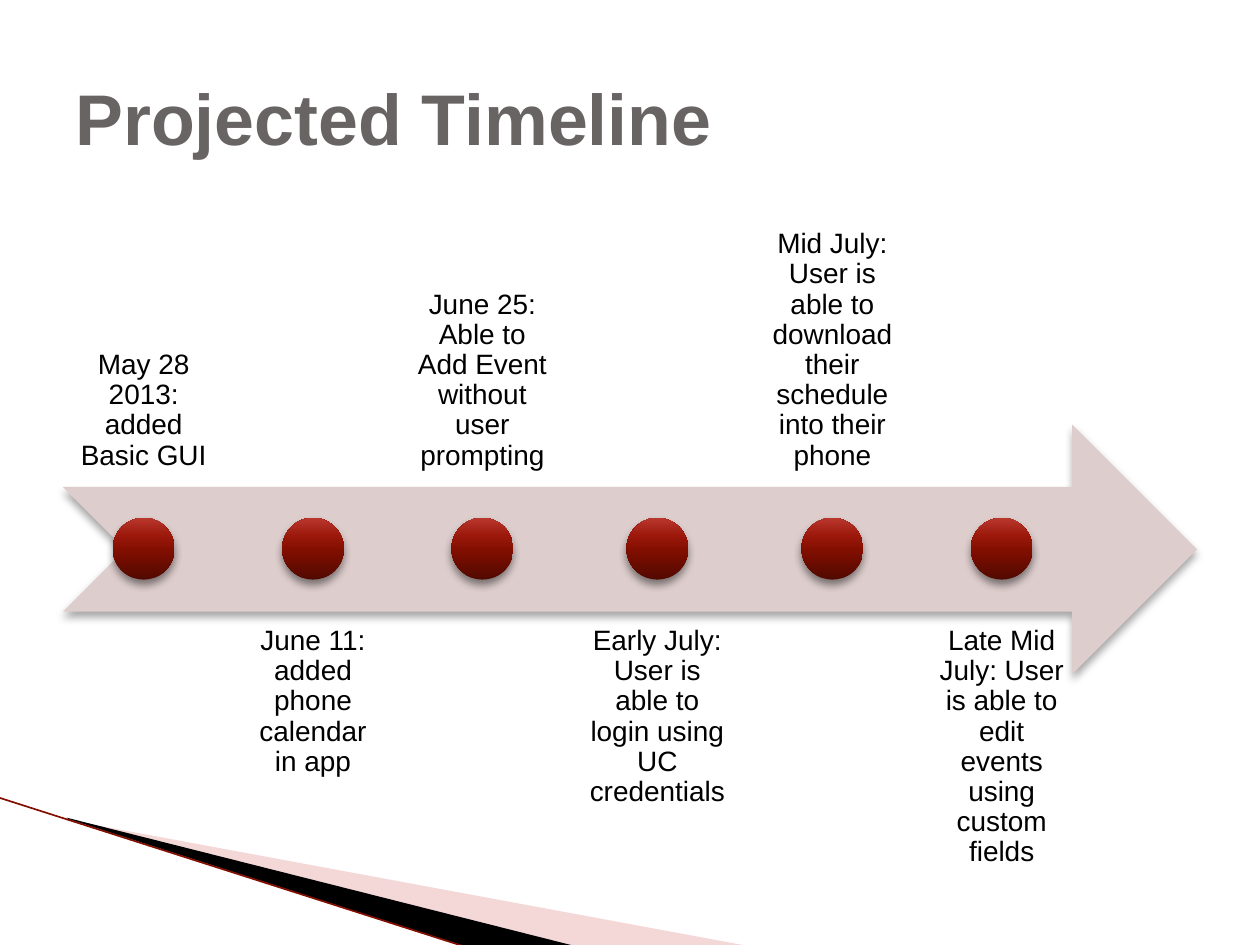
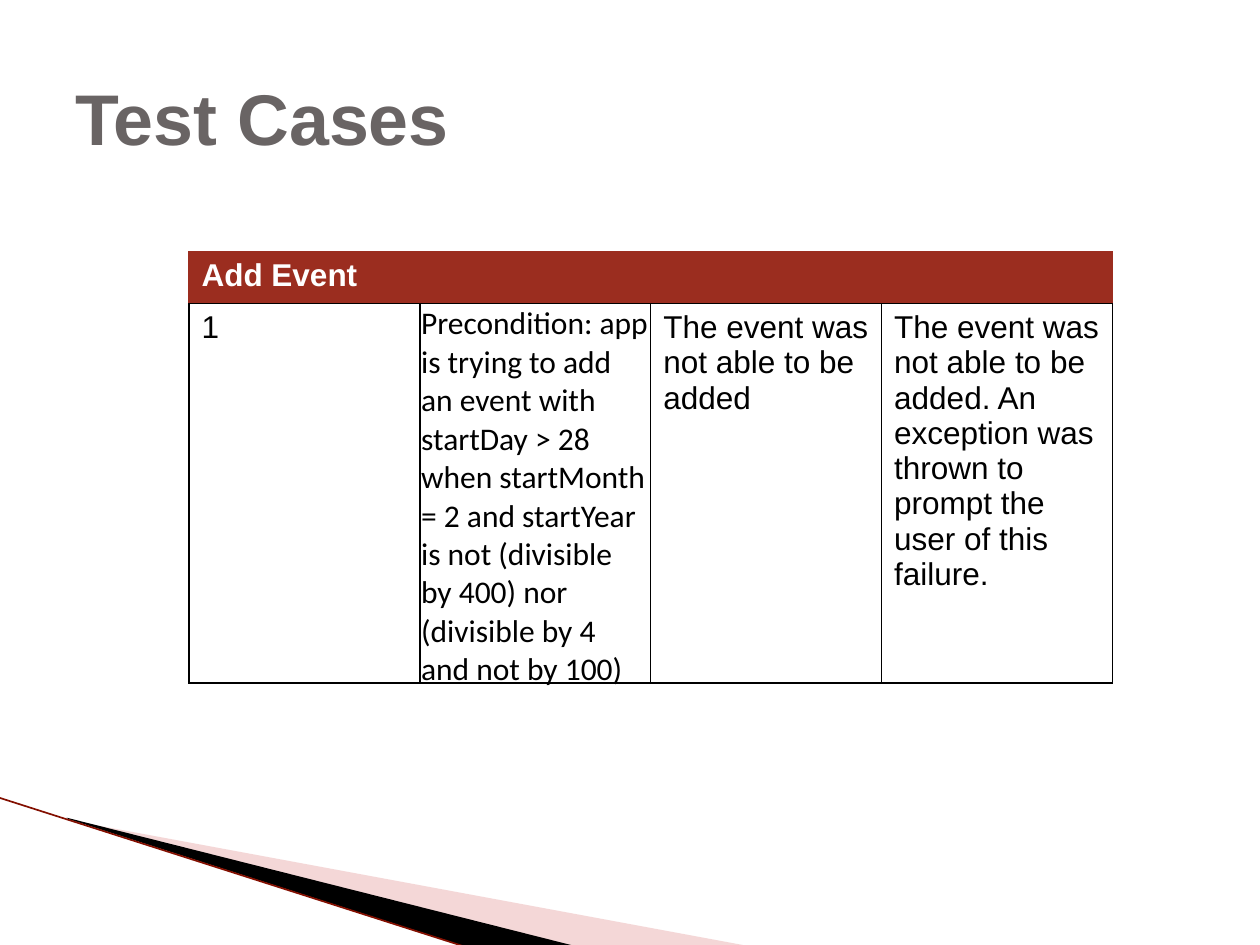
from dataclasses import dataclass

from lxml.etree import SubElement
from pptx import Presentation
from pptx.dml.color import RGBColor
from pptx.enum.shapes import MSO_CONNECTOR, MSO_SHAPE
from pptx.enum.text import MSO_ANCHOR, PP_ALIGN
from pptx.oxml.ns import qn
from pptx.util import Inches, Pt


@dataclass(frozen=True)
class Theme:
    font: str = "Arial"
    alt_font: str = "Calibri"
    title: str = "696464"
    text: str = "000000"
    white: str = "FFFFFF"
    header: str = "9B2D1F"
    arrow: str = "DECDCD"
    wedge: str = "E49D9D"
    edge: str = "830F00"
    title_size: int = 41
    table_size: int = 18
    label_size: int = 16
    dot_stops: tuple = ((0, "520900"), (50, "830F00"), (70, "9B180B"), (100, "BA372E"))


THEME = Theme()

MILESTONES = [
    "May 28 2013: added Basic GUI",
    "June 11: added phone calendar in app",
    "June 25: Able to Add Event without user prompting",
    "Early July: User is able to login using UC credentials",
    "Mid July: User is able to download their schedule into their phone",
    "Late Mid July: User is able to edit events using custom fields",
]
LABEL_WIDTHS = [1.28, 1.28, 1.28, 1.37, 1.28, 1.28]

TEST_CASE = [
    "1",
    "Precondition: app is trying to add an event with startDay > 28 when startMonth = 2 "
    "and startYear is not (divisible by 400) nor (divisible by 4 and not by 100)",
    "The event was not able to be added",
    "The event was not able to be added. An exception was thrown to prompt the user "
    "of this failure.",
]


def rgb(color):
    return RGBColor.from_string(color)


def set_font(p, size, color, bold=False, name=THEME.font):
    p.font.name, p.font.size, p.font.bold = name, Pt(size), bold
    p.font.color.rgb = rgb(color)


def set_margins(frame, left, top, right, bottom):
    frame.margin_left, frame.margin_top = Inches(left), Inches(top)
    frame.margin_right, frame.margin_bottom = Inches(right), Inches(bottom)


def add_color(parent, color, alpha=100):
    clr = SubElement(parent, qn("a:srgbClr"), val=color)
    if alpha < 100:
        SubElement(clr, qn("a:alpha"), val=str(alpha * 1000))


def add_shadow(sp, alpha, blur, distance=3):
    effects = sp._element.spPr.find(qn("a:effectLst"))
    shadow = SubElement(effects, qn("a:outerShdw"), blurRad=str(Pt(blur)),
                        dist=str(Pt(distance)), dir="5400000", rotWithShape="0")
    add_color(shadow, "000000", alpha)


def add_text(s, x, y, w, h, text, anchor):
    tf = s.shapes.add_textbox(Inches(x), Inches(y), Inches(w), Inches(h)).text_frame
    tf.word_wrap = True
    tf.vertical_anchor = anchor
    p = tf.paragraphs[0]
    p.text = text
    return tf, p


def add_preset(s, kind, x, y, w, h):
    sp = s.shapes.add_shape(kind, Inches(x), Inches(y), Inches(w), Inches(h))
    sp.shadow.inherit = False
    sp.line.fill.background()
    return sp


def add_wedge(s, points, color, alpha=100):
    start, *rest = [(Inches(x), Inches(y)) for x, y in points]
    builder = s.shapes.build_freeform(*start)
    builder.add_line_segments(rest)
    sp = builder.convert_to_shape()
    sp.shadow.inherit = False
    sp.line.fill.background()
    sp.fill.solid()
    sp.fill.fore_color.rgb = rgb(color)
    if alpha < 100:
        clr = sp._element.spPr.find(qn("a:solidFill"))[0]
        SubElement(clr, qn("a:alpha"), val=str(alpha * 1000))


def add_base(prs, title):
    """Blank slide with the corner wedges and its title."""
    s = prs.slides.add_slide(prs.slide_layouts[6])
    add_wedge(s, [(0.55, 6.51), (5.95, 7.51), (4.56, 7.51), (0.55, 6.5)], THEME.wedge, 40)
    add_wedge(s, [(0.53, 6.49), (4.57, 7.51), (3.72, 7.52), (0.54, 6.5)], THEME.text)
    edge = s.shapes.add_connector(MSO_CONNECTOR.STRAIGHT, Inches(-0.01), Inches(6.33),
                                  Inches(3.71), Inches(7.52))
    edge.line.color.rgb = rgb(THEME.edge)
    edge.line.width = Pt(0.95)
    SubElement(edge._element.spPr, qn("a:effectLst"))
    _, p = add_text(s, 0.5, 0.3, 9, 1.25, title, MSO_ANCHOR.MIDDLE)
    set_font(p, THEME.title_size, THEME.title, bold=True)
    return s


def add_dot(s, center):
    size = 0.49
    sp = add_preset(s, MSO_SHAPE.OVAL, center - size / 2, 4.11, size, size)
    sp.fill.gradient()
    sp.fill.gradient_angle = 90
    stops = sp._element.spPr.find(qn("a:gradFill")).find(qn("a:gsLst"))
    for stop in list(stops):
        stops.remove(stop)
    for pos, color in THEME.dot_stops:
        add_color(SubElement(stops, qn("a:gs"), pos=str(pos * 1000)), color)
    add_shadow(sp, 45, 5)


def add_label(s, x, width, text, above):
    y, anchor = (1.88, MSO_ANCHOR.BOTTOM) if above else (4.85, MSO_ANCHOR.TOP)
    tf, p = add_text(s, x, y, width, 1.98, text, anchor)
    set_margins(tf, 0.12, 0.12, 0.12, 0.12)
    p.alignment = PP_ALIGN.CENTER
    p.line_spacing = 0.9
    set_font(p, THEME.label_size, THEME.text)


def add_timeline(s):
    arrow = add_preset(s, MSO_SHAPE.NOTCHED_RIGHT_ARROW, 0.5, 3.37, 9, 1.98)
    arrow.fill.solid()
    arrow.fill.fore_color.rgb = rgb(THEME.arrow)
    add_shadow(arrow, 35, 4)
    # Labels alternate above and below the arrow
    x, gap = 0.5, 0.05 * LABEL_WIDTHS[0]
    for i, (text, width) in enumerate(zip(MILESTONES, LABEL_WIDTHS)):
        add_label(s, x, width, text, above=i % 2 == 0)
        add_dot(s, x + width / 2)
        x += width + gap


def set_borders(cell, **sides):
    tcPr = cell._tc.get_or_add_tcPr()
    for side in "LRTB":
        color, width = sides.get(side, (THEME.text, 1))
        ln = SubElement(tcPr, qn(f"a:ln{side}"), w=str(Pt(width)))
        add_color(SubElement(ln, qn("a:solidFill")), color)


def add_test_table(s):
    table = s.shapes.add_table(2, 4, Inches(1.5), Inches(2), Inches(7.33), Inches(3.42)).table
    table.rows[0].height, table.rows[1].height = Inches(0.41), Inches(3.01)

    # Header across all columns
    red = (THEME.header, 0.75)
    for cell in table.rows[0].cells:
        set_borders(cell, L=red, R=red, T=red)
        cell.fill.solid()
        cell.fill.fore_color.rgb = rgb(THEME.header)
    header = table.cell(0, 0)
    header.merge(table.cell(0, 3))
    header.text = "Add Event"
    set_font(header.text_frame.paragraphs[0], THEME.table_size, THEME.white, bold=True)

    # Test case
    for cell, text in zip(table.rows[1].cells, TEST_CASE):
        set_borders(cell)
        cell.fill.background()
        cell.text = text
        set_font(cell.text_frame.paragraphs[0], THEME.table_size, THEME.text)
    precondition = table.cell(1, 1)
    precondition.vertical_anchor = MSO_ANCHOR.BOTTOM
    set_margins(precondition, 0.01, 0.01, 0.01, 0)
    precondition.text_frame.paragraphs[0].font.name = THEME.alt_font


def main():
    prs = Presentation()
    prs.slide_width, prs.slide_height = Inches(10), Inches(7.5)
    add_timeline(add_base(prs, "Projected Timeline"))
    add_test_table(add_base(prs, "Test Cases"))
    prs.save("out.pptx")


if __name__ == "__main__":
    main()
